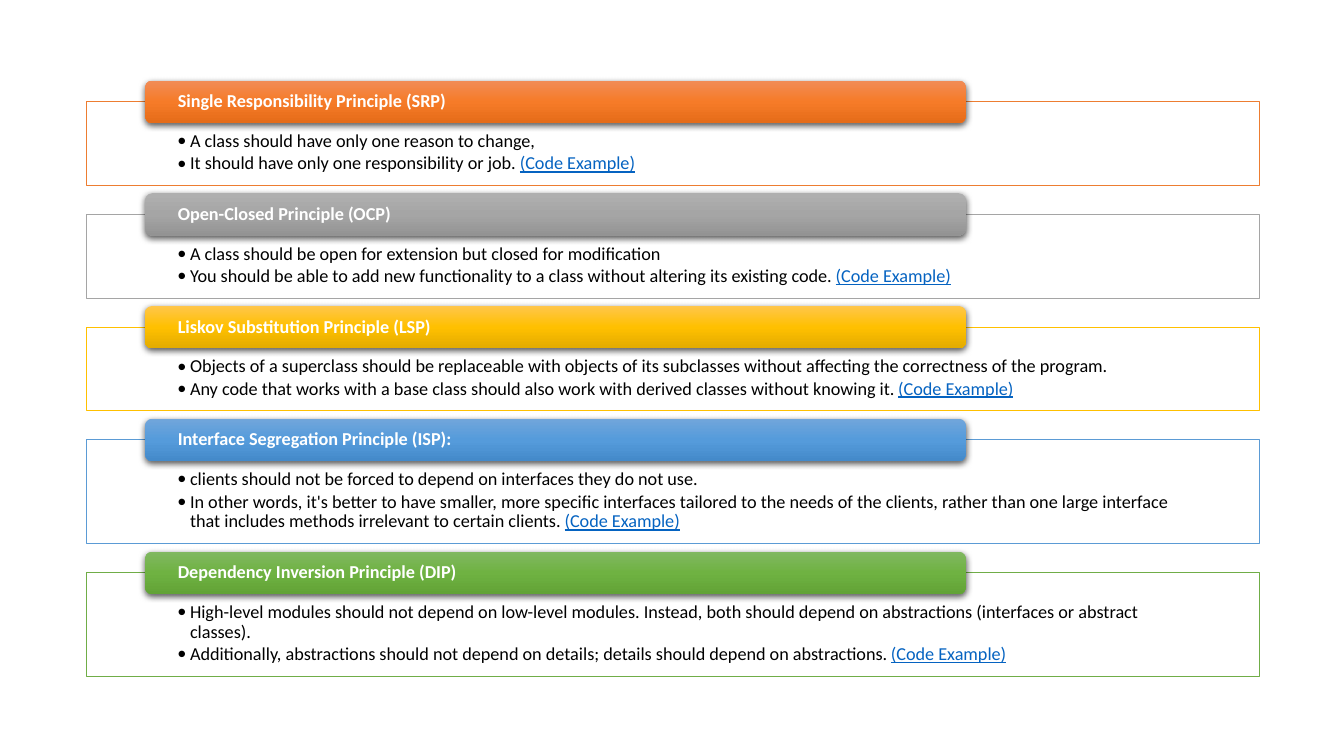
from dataclasses import dataclass

from lxml import etree
from pptx import Presentation
from pptx.dml.color import RGBColor
from pptx.enum.shapes import MSO_SHAPE
from pptx.enum.text import MSO_ANCHOR, PP_ALIGN
from pptx.oxml import parse_xml
from pptx.oxml.ns import nsdecls, qn
from pptx.util import Cm, Pt

RECTANGLE = MSO_SHAPE.RECTANGLE
ROUNDED = MSO_SHAPE.ROUNDED_RECTANGLE
TOP, MIDDLE = MSO_ANCHOR.TOP, MSO_ANCHOR.MIDDLE
LEFT = PP_ALIGN.LEFT


@dataclass(frozen=True)
class Theme:
    font: str = "Calibri"
    size: float = 13
    white: str = "FFFFFF"
    text: str = "000000"
    link: str = "0563C1"
    shadow: str = "000000"


THEME = Theme()
LINK_TEXT = "(Code Example)"

# Title, panel height in cm, border colour, header gradient, two bullets
PRINCIPLES = [
    ("Single Responsibility Principle (SRP)", 2.11, "ED7D31",
     ("F18C57", "F67B28", "E56C19"),
     ("A class should have only one reason to change,",
      "It should have only one responsibility or job. ")),
    ("Open-Closed Principle (OCP)", 2.11, "A5A5A5",
     ("AFAFAF", "A5A5A5", "939393"),
     ("A class should be open for extension but closed for modification",
      "You should be able to add new functionality to a class without "
      "altering its existing code. ")),
    ("Liskov Substitution Principle (LSP)", 2.11, "FFC000",
     ("FFC64B", "FFC000", "E3AB00"),
     ("Objects of a superclass should be replaceable with objects of its "
      "subclasses without affecting the correctness of the program.",
      "Any code that works with a base class should also work with derived "
      "classes without knowing it. ")),
    ("Interface Segregation Principle (ISP):", 2.62, "5B9BD5",
     ("71A6DB", "559BDB", "448ACA"),
     ("clients should not be forced to depend on interfaces they do not use.",
      "In other words, it's better to have smaller, more specific interfaces "
      "tailored to the needs of the clients, rather than one large interface "
      "that includes methods irrelevant to certain clients. ")),
    ("Dependency Inversion Principle (DIP)", 2.62, "70AD47",
     ("81B861", "6FB242", "62A336"),
     ("High-level modules should not depend on low-level modules. Instead, "
      "both should depend on abstractions (interfaces or abstract classes).",
      "Additionally, abstractions should not depend on details; details "
      "should depend on abstractions. ")),
]

# Layout in cm
PANEL_LEFT, PANEL_WIDTH, PANEL_GAP = 2.18, 29.56, 0.73
HEADER_LEFT, HEADER_WIDTH, HEADER_HEIGHT = 3.66, 20.68, 1.07
HEADER_RISE = 0.53
BULLET_INDENT = 0.32


def add_run(paragraph, text, color=THEME.text, bold=False, underline=False):
    run = paragraph.add_run()
    run.text = text
    run.font.name = THEME.font
    run.font.size = Pt(THEME.size)
    run.font.bold = bold
    run.font.underline = underline
    run.font.color.rgb = RGBColor.from_string(color)


def set_frame(shape, anchor, side, top=0, bottom=0):
    frame = shape.text_frame
    frame.word_wrap = True
    frame.vertical_anchor = anchor
    frame.margin_left = frame.margin_right = Cm(side)
    frame.margin_top, frame.margin_bottom = Cm(top), Cm(bottom)
    return frame


presentation = Presentation()
presentation.slide_width, presentation.slide_height = Cm(33.87), Cm(19.05)
slide = presentation.slides.add_slide(presentation.slide_layouts[6])

panel_top = 2.56
for title, panel_height, border, gradient, bullets in PRINCIPLES:
    # Outlined panel
    panel = slide.shapes.add_shape(RECTANGLE, Cm(PANEL_LEFT), Cm(panel_top),
                                   Cm(PANEL_WIDTH), Cm(panel_height))
    panel.shadow.inherit = False
    panel.fill.solid()
    panel.fill.fore_color.rgb = RGBColor.from_string(THEME.white)
    fill_color = panel._element.spPr.find(f"{qn('a:solidFill')}/{qn('a:srgbClr')}")
    etree.SubElement(fill_color, qn("a:alpha"), val="90000")
    panel.line.color.rgb = RGBColor.from_string(border)
    panel.line.width = Pt(0.5)

    # Bullets, the last one ending in the code example
    frame = set_frame(panel, TOP, side=2.29, top=0.76, bottom=0.25)
    for index, bullet in enumerate(bullets):
        paragraph = frame.paragraphs[0] if index == 0 else frame.add_paragraph()
        paragraph.level = 1
        paragraph.alignment = LEFT
        paragraph.line_spacing = 0.9
        paragraph.space_before = Pt(0)
        paragraph.space_after = Pt(2)
        properties = paragraph._p.get_or_add_pPr()
        properties.set("marL", str(Cm(BULLET_INDENT)))
        properties.set("indent", str(-Cm(BULLET_INDENT)))
        etree.SubElement(properties, qn("a:buFont"), typeface=THEME.font)
        etree.SubElement(properties, qn("a:buChar"), char="•")
        add_run(paragraph, bullet)
    add_run(paragraph, LINK_TEXT, color=THEME.link, underline=True)

    # Header bar over the panel's top edge
    header = slide.shapes.add_shape(ROUNDED, Cm(HEADER_LEFT),
                                    Cm(panel_top - HEADER_RISE),
                                    Cm(HEADER_WIDTH), Cm(HEADER_HEIGHT))
    header.line.fill.background()
    stops = "".join(
        f'<a:gs pos="{index * 50000}"><a:srgbClr val="{color}"/></a:gs>'
        for index, color in enumerate(gradient))
    outline = header._element.spPr.find(qn("a:ln"))
    outline.addprevious(parse_xml(
        f'<a:gradFill {nsdecls("a")} rotWithShape="1"><a:gsLst>{stops}</a:gsLst>'
        '<a:lin ang="5400000" scaled="0"/></a:gradFill>'))
    outline.addnext(parse_xml(
        f'<a:effectLst {nsdecls("a")}><a:outerShdw blurRad="{Pt(4.5)}" '
        f'dist="{Pt(1.5)}" dir="5400000" algn="ctr" rotWithShape="0">'
        f'<a:srgbClr val="{THEME.shadow}"><a:alpha val="63000"/></a:srgbClr>'
        '</a:outerShdw></a:effectLst>'))

    # Header text
    paragraph = set_frame(header, MIDDLE, side=0.77).paragraphs[0]
    paragraph.alignment = LEFT
    paragraph.line_spacing = 0.9
    add_run(paragraph, title, color=THEME.white, bold=True)

    panel_top += panel_height + PANEL_GAP

presentation.save("out.pptx")
